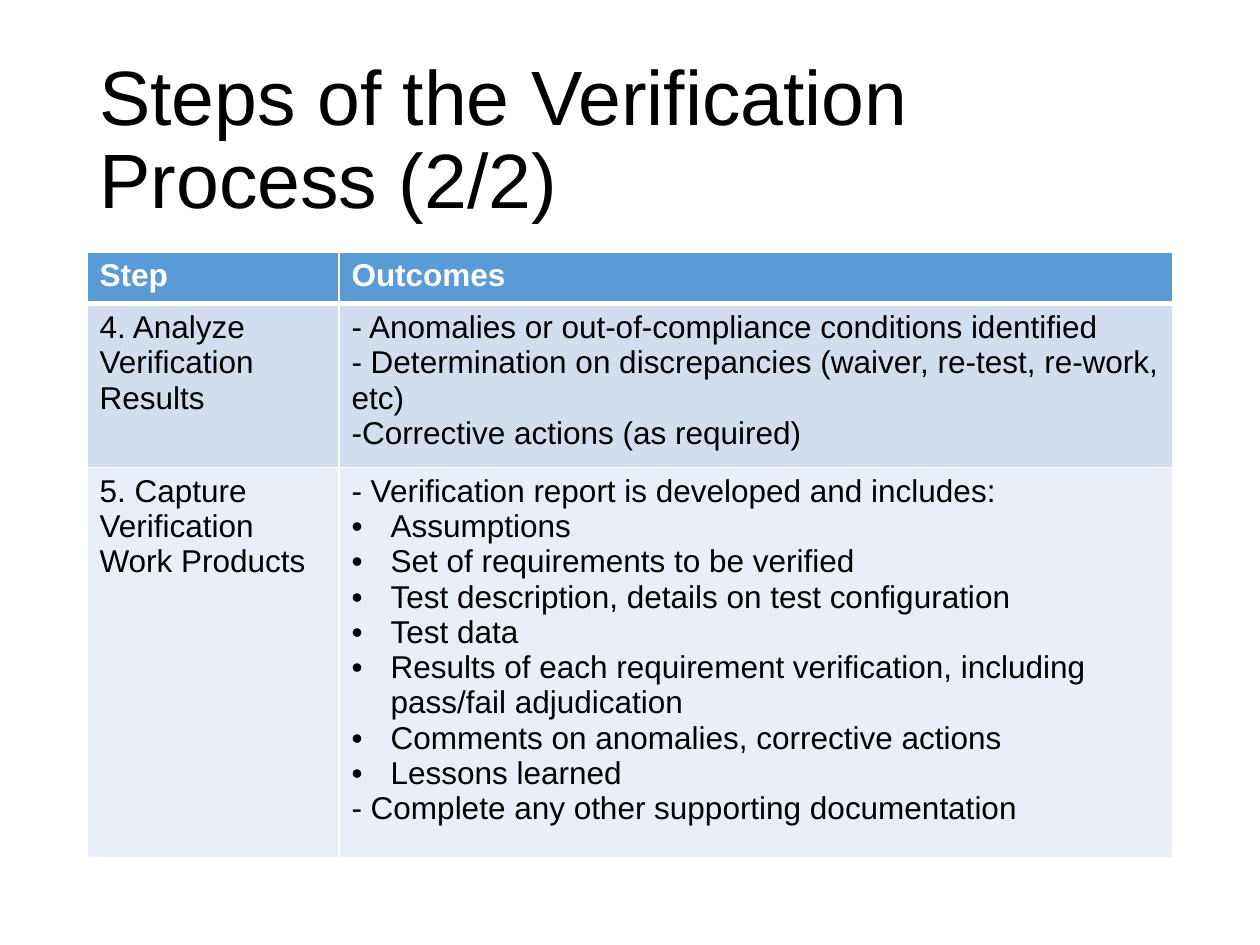
"""Build the slide with the last two steps of the verification process."""
import pptx
import pptx.dml.color
import pptx.enum.text
import pptx.oxml
import pptx.oxml.ns
import pptx.util
from lxml import etree

Inches = pptx.util.Inches
COLORS = {"head": "5B9BD5", "band": "D2DEEF", "pale": "EAEFF7",
          "white": "FFFFFF", "black": "000000"}
BULLET = "• "
ROWS = [
    ("head", 0.41, [["Step"], ["Outcomes"]]),
    ("band", 1.22, [
        ["4. Analyze Verification Results"],
        ["- Anomalies or out-of-compliance conditions identified",
         "- Determination on discrepancies (waiver, re-test, re-work, etc)",
         "-Corrective actions (as required)"]]),
    ("pale", 2.9, [
        ["5. Capture Verification Work Products"],
        ["- Verification report is developed and includes:",
         "• Assumptions",
         "• Set of requirements to be verified",
         "• Test description, details on test configuration",
         "• Test data",
         "• Results of each requirement verification, including pass/fail adjudication",
         "• Comments on anomalies, corrective actions",
         "• Lessons learned",
         "- Complete any other supporting documentation"]]),
]


def add_run(para, text, size, color, bold=False):
    run = para.add_run()
    run.text = text
    run.font.name = "Arial"
    run.font.size = pptx.util.Pt(size)
    run.font.bold = bold
    run.font.color.rgb = pptx.dml.color.RGBColor.from_string(COLORS[color])


def add_edge(cell, side, width):
    props = cell._tc.get_or_add_tcPr()
    line = etree.SubElement(props, pptx.oxml.ns.qn(f"a:{side}"),
                            w=str(pptx.util.Pt(width)))
    fill = etree.SubElement(line, pptx.oxml.ns.qn("a:solidFill"))
    etree.SubElement(fill, pptx.oxml.ns.qn("a:srgbClr"), val=COLORS["white"])


deck = pptx.Presentation()
deck.slide_width, deck.slide_height = Inches(10), Inches(7.5)
slide = deck.slides.add_slide(deck.slide_layouts[6])

title = slide.shapes.add_textbox(Inches(0.69), Inches(0.4), Inches(8.62), Inches(1.45))
frame = title.text_frame
frame.word_wrap = True
frame.vertical_anchor = pptx.enum.text.MSO_ANCHOR.MIDDLE
frame.paragraphs[0].line_spacing = 0.9
add_run(frame.paragraphs[0], "Steps of the Verification Process (2/2)", 44, "black")

table = slide.shapes.add_table(len(ROWS), 2, Inches(0.69), Inches(2),
                               Inches(8.62), Inches(4.53)).table
table.columns[0].width, table.columns[1].width = Inches(2), Inches(6.62)

for row, (shade, height, texts) in enumerate(ROWS):
    head = row == 0
    table.rows[row].height = Inches(height)
    for col, lines in enumerate(texts):
        cell = table.cell(row, col)
        for side in ("lnL", "lnR", "lnT", "lnB"):
            thick = (head and side == "lnB") or (row == 1 and side == "lnT")
            add_edge(cell, side, 3 if thick else 1)
        cell.fill.solid()
        cell.fill.fore_color.rgb = pptx.dml.color.RGBColor.from_string(COLORS[shade])
        for index, text in enumerate(lines):
            frame = cell.text_frame
            para = frame.add_paragraph() if index else frame.paragraphs[0]
            if text.startswith(BULLET):
                props = para._p.get_or_add_pPr()
                props.set("marL", str(Inches(0.31)))
                props.set("indent", str(-Inches(0.31)))
                etree.SubElement(props, pptx.oxml.ns.qn("a:buFont"), typeface="Arial")
                etree.SubElement(props, pptx.oxml.ns.qn("a:buChar"), char="•")
            add_run(para, text.removeprefix(BULLET), 18,
                    "white" if head else "black", head)

deck.save("out.pptx")
